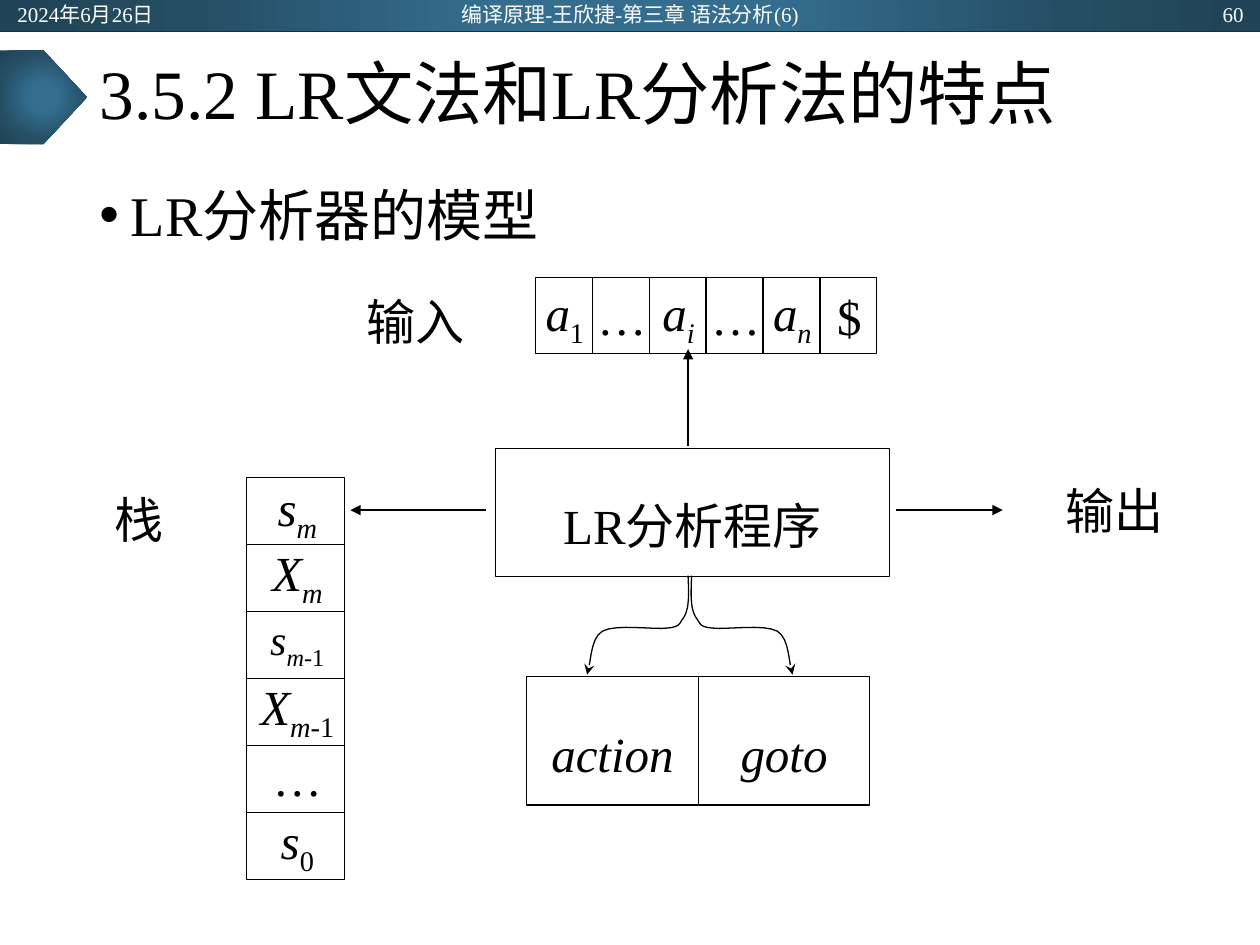
from pptx import Presentation
from pptx.dml.color import RGBColor
from pptx.enum.shapes import MSO_CONNECTOR, MSO_SHAPE
from pptx.enum.text import MSO_ANCHOR, MSO_AUTO_SIZE, PP_ALIGN
from pptx.oxml import parse_xml
from pptx.oxml.ns import nsdecls, qn
from pptx.util import Pt

LEFT, CENTER, RIGHT = PP_ALIGN.LEFT, PP_ALIGN.CENTER, PP_ALIGN.RIGHT
MIDDLE, TOP = MSO_ANCHOR.MIDDLE, MSO_ANCHOR.TOP
RECT, PENTAGON = MSO_SHAPE.RECTANGLE, MSO_SHAPE.PENTAGON
STRAIGHT = MSO_CONNECTOR.STRAIGHT
NO_FIT = MSO_AUTO_SIZE.NONE

FONT = "Times New Roman"
COLORS = {"ink": "000000", "white": "FFFFFF", "rule": "222A35"}
GRADIENT = [(0, "346D8E"), (23, "346D8E"), (69, "254E64"), (97, "204457")]

TITLE = "3.5.2 LR文法和LR分析法的特点"
BULLET = "LR分析器的模型"
HEADER = [
    ("2024年6月26日", 2.9, 162, LEFT),
    ("编译原理-王欣捷-第三章 语法分析(6)", 238.3, 243.4, CENTER),
    ("60", 555.8, 162, RIGHT),
]
LABELS = [("输入", 196.6, 159.1), ("输出", 596, 267.1), ("栈", 38.9, 272.2)]
TAPE = [
    [("a", "i"), ("1", "s")],
    [("…", "")],
    [("a", "i"), ("i", "is")],
    [("…", "")],
    [("a", "i"), ("n", "is")],
    [("$", "")],
]
STACK = [
    ([("s", "i"), ("m", "is")], 28, 0),
    ([("X", "i"), ("m", "is")], 28, 3),
    ([("s", "i"), ("m", "is"), ("-1", "s")], 24, 3),
    ([("X", "i"), ("m", "is"), ("-1", "s")], 28, 3),
    ([("…", "")], 28, 3),
    ([("s", "i"), ("0", "s")], 28, 3),
]
BOXES = [
    ([("LR分析程序", "")], 283, 256.2, 225.2),
    ([("action", "i")], 301, 386.6, 98),
    ([("goto", "i")], 399, 386.6, 98),
]
ARROWS = [
    (393.2, 254.9, 393.2, 199.5),
    (512, 291.5, 573, 291.5),
    (278, 291.5, 200.2, 291.5),
]
CURVE_START = (393.2, 329)
CURVE = [
    [(393.2, 331.2), (393.8, 339.8), (393.2, 344.2)],
    [(393, 347.8), (391.8, 351.4), (390.2, 353.6)],
    [(388, 356.4), (388.8, 358.2), (381.6, 358.9)],
    [(373.7, 360), (352, 356.4), (344.2, 360.7)],
    [(337, 365), (337.7, 380.2), (335.5, 385.5)],
]
CURVE_AXIS = 394.2
STEPS = 8


def rgb(name):
    return RGBColor.from_string(COLORS[name])


def write(sp, runs, size=28, color="ink", align=CENTER, anchor=MIDDLE,
          insets=(7.2, 3.6, 7.2, 3.6), spacing=None, bullet=False):
    tf = sp.text_frame
    tf.word_wrap = True
    tf.auto_size = NO_FIT
    tf.vertical_anchor = anchor
    tf.margin_left, tf.margin_top, tf.margin_right, tf.margin_bottom = map(Pt, insets)
    p = tf.paragraphs[0]
    p.alignment = align
    if spacing:
        p.line_spacing = spacing
    if bullet:
        pPr = p._p.get_or_add_pPr()
        pPr.set("marL", str(Pt(18)))
        pPr.set("indent", str(-Pt(18)))
        pPr.append(parse_xml(f'<a:buFont {nsdecls("a")} typeface="Arial"/>'))
        pPr.append(parse_xml(f'<a:buChar {nsdecls("a")} char="•"/>'))
    for text, style in runs:
        r = p.add_run()
        r.text = text
        r.font.name, r.font.size = FONT, Pt(size)
        r.font.color.rgb = rgb(color)
        r.font.italic = "i" in style
        if "s" in style:
            r._r.get_or_add_rPr().set("baseline", "-25000")


def add_text(s, runs, x, y, w, h, **fmt):
    write(s.shapes.add_textbox(Pt(x), Pt(y), Pt(w), Pt(h)), runs, **fmt)


def add_box(s, runs, x, y, w, h, **fmt):
    sp = s.shapes.add_shape(RECT, Pt(x), Pt(y), Pt(w), Pt(h))
    sp.shadow.inherit = False
    sp.fill.background()
    sp.line.color.rgb = rgb("ink")
    sp.line.width = Pt(0.75)
    write(sp, runs, **fmt)


def add_glow(s, kind, x, y, w, h):
    sp = s.shapes.add_shape(kind, Pt(x), Pt(y), Pt(w), Pt(h))
    sp.shadow.inherit = False
    sp.line.fill.background()
    stops = "".join(f'<a:gs pos="{pos * 1000}"><a:srgbClr val="{c}"/></a:gs>'
                    for pos, c in GRADIENT)
    fill = parse_xml(
        f'<a:gradFill {nsdecls("a")} rotWithShape="1"><a:gsLst>{stops}</a:gsLst>'
        '<a:path path="circle"><a:fillToRect l="50000" t="50000" r="50000" b="50000"/>'
        '</a:path></a:gradFill>')
    sp._element.spPr.find(qn("a:prstGeom")).addnext(fill)


def add_head(sp, kind):
    sp.line._get_or_add_ln().append(
        parse_xml(f'<a:tailEnd {nsdecls("a")} type="{kind}"/>'))


def add_line(s, x1, y1, x2, y2, color="ink", width=0.75, head=None):
    sp = s.shapes.add_connector(STRAIGHT, Pt(x1), Pt(y1), Pt(x2), Pt(y2))
    sp.line.color.rgb = rgb(color)
    sp.line.width = Pt(width)
    if head:
        add_head(sp, head)
    sp._element.spPr.append(parse_xml(f'<a:effectLst {nsdecls("a")}/>'))


def curve_points():
    points = [CURVE_START]
    for b, c, d in CURVE:
        a = points[-1]
        for step in range(1, STEPS + 1):
            t = step / STEPS
            u = 1 - t
            points.append(tuple(
                u**3 * a[k] + 3 * u * u * t * b[k] + 3 * u * t * t * c[k] + t**3 * d[k]
                for k in (0, 1)))
    return points


def add_curve(s, points):
    path_points = [(Pt(x), Pt(y)) for x, y in points]
    builder = s.shapes.build_freeform(*path_points[0])
    builder.add_line_segments(path_points[1:], close=False)
    sp = builder.convert_to_shape()
    sp.shadow.inherit = False
    sp.fill.background()
    sp.line.color.rgb = rgb("ink")
    sp.line.width = Pt(0.75)
    add_head(sp, "stealth")


def main():
    prs = Presentation()
    prs.slide_width, prs.slide_height = Pt(720), Pt(540)
    s = prs.slides.add_slide(prs.slide_layouts[5])

    add_glow(s, RECT, 0, 0, 720, 18)
    add_line(s, 0, 18, 720, 18, color="rule", width=0.5)
    add_glow(s, PENTAGON, 0, 28.8, 49.7, 53.5)
    for text, x, w, align in HEADER:
        add_text(s, [(text, "")], x, 0.7, w, 14.4, size=12, color="white", align=align)

    title = s.shapes.title
    title.left, title.top, title.width, title.height = Pt(49.7), Pt(18), Pt(620.6), Pt(75)
    write(title, [(TITLE, "")], size=39.6, align=LEFT, spacing=0.9)
    add_text(s, [(BULLET, "")], 49.7, 99.4, 620.6, 50, size=32, align=LEFT,
             anchor=TOP, bullet=True)

    for text, x, y in LABELS:
        add_text(s, [(text, "")], x, y, 81.4, 48.2)
    for runs, x, y, w in BOXES:
        add_box(s, runs, x, y, w, 73.4, insets=(7.2, 7.9, 7.2, 3.6), spacing=1.3)
    for i, (runs, size, bottom) in enumerate(STACK):
        add_box(s, runs, 141, 272.9 + i * 38.3, 55.8, 38.3, size=size,
                insets=(4, 0, 2, bottom))
    for i, runs in enumerate(TAPE):
        add_box(s, runs, 306 + i * 32.5, 158.8, 32.5, 43.2, insets=(2.5, 0.7, 1.5, 0.7))

    for ends in ARROWS:
        add_line(s, *ends, head="triangle")
    points = curve_points()
    add_curve(s, points)
    add_curve(s, [(2 * CURVE_AXIS - x, y) for x, y in points])

    prs.save("out.pptx")


if __name__ == "__main__":
    main()
